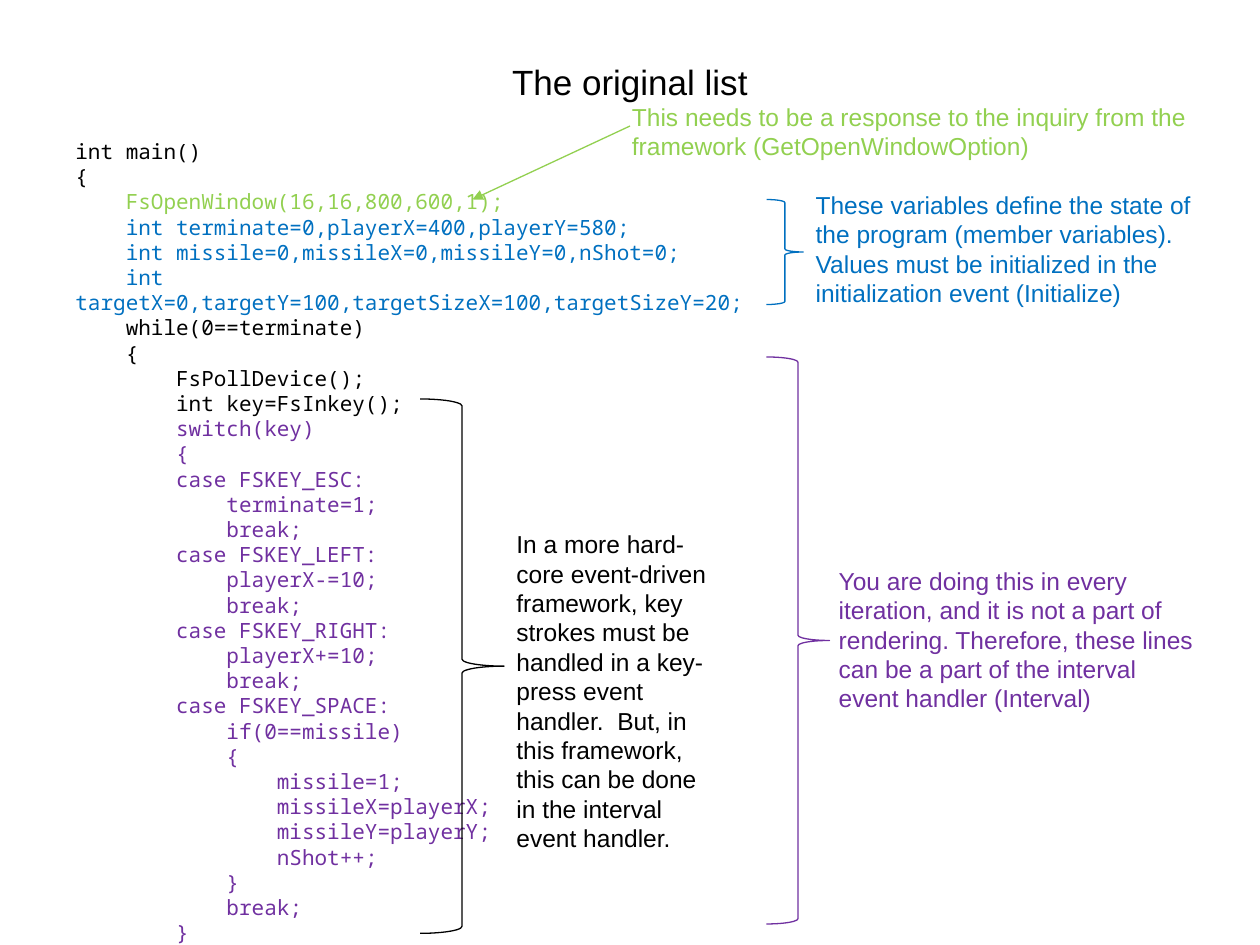
from lxml import etree
from pptx import Presentation
from pptx.dml.color import RGBColor
from pptx.enum.shapes import MSO_CONNECTOR, MSO_SHAPE
from pptx.enum.text import MSO_ANCHOR, PP_ALIGN
from pptx.oxml.ns import qn
from pptx.util import Inches, Pt

LINE = MSO_CONNECTOR.STRAIGHT
BRACE = MSO_SHAPE.RIGHT_BRACE
TOP, MIDDLE = MSO_ANCHOR.TOP, MSO_ANCHOR.MIDDLE
LEFT, CENTER = PP_ALIGN.LEFT, PP_ALIGN.CENTER

COLORS = {"black": "000000", "green": "92D050", "blue": "0070C0", "purple": "7030A0"}
COLS, ROWS = 120, 90

CODE = [
    ("black", """int main()
{"""),
    ("green", "    FsOpenWindow(16,16,800,600,1);"),
    ("blue", """    int terminate=0,playerX=400,playerY=580;
    int missile=0,missileX=0,missileY=0,nShot=0;
    int targetX=0,targetY=100,targetSizeX=100,targetSizeY=20;"""),
    ("black", """    while(0==terminate)
    {
        FsPollDevice();
        int key=FsInkey();"""),
    ("purple", """        switch(key)
        {
        case FSKEY_ESC:
            terminate=1;
            break;
        case FSKEY_LEFT:
            playerX-=10;
            break;
        case FSKEY_RIGHT:
            playerX+=10;
            break;
        case FSKEY_SPACE:
            if(0==missile)
            {
                missile=1;
                missileX=playerX;
                missileY=playerY;
                nShot++;
            }
            break;
        }"""),
]

NOTES = [
    ("green", (59, 9.1, 58, 6.8),
     "This needs to be a response to the inquiry from the framework (GetOpenWindowOption)"),
    ("blue", (76.5, 17.5, 41.5, 12.5),
     "These variables define the state of the program (member variables).  "
     "Values must be initialized in the initialization event (Initialize)"),
    ("black", (48, 49.8, 22, 32.3),
     "In a more hard-core event-driven framework, key strokes must be handled in a "
     "key-press event handler.  But, in this framework, this can be done in the "
     "interval event handler."),
    ("purple", (78.7, 53.3, 37, 15.4),
     "You are doing this in every iteration, and it is not a part of rendering. "
     "Therefore, these lines can be a part of the interval event handler (Interval)"),
]

BRACES = [
    ("blue", (73, 19, 3.5, 10)),
    ("black", (40, 38, 8, 50.9)),
    ("purple", (73, 34, 6, 54)),
]


class Page:
    font, mono = "Arial", "Noto Sans Mono"
    weight = Pt(0.75)

    def __init__(self, deck):
        self.slide = deck.slides.add_slide(deck.slide_layouts[6])
        self.col = deck.slide_width / COLS
        self.row = deck.slide_height / ROWS

    def place(self, *grid):
        units = (self.col, self.row) * 2
        return [round(n * unit) for n, unit in zip(grid, units)]

    def color(self, name):
        return RGBColor.from_string(COLORS[name])

    def text(self, box, parts, size=14, font=font, align=LEFT, anchor=TOP):
        frame = self.slide.shapes.add_textbox(*self.place(*box)).text_frame
        frame.word_wrap = True
        frame.vertical_anchor = anchor
        frame.text = "\n".join(words for _, words in parts)
        names = [name for name, words in parts for _ in words.split("\n")]
        for para, name in zip(frame.paragraphs, names):
            para.alignment = align
            for run in para.runs:
                run.font.name = font
                run.font.size = Pt(size)
                run.font.color.rgb = self.color(name)

    def stroke(self, shape, name):
        shape.line.color.rgb = self.color(name)
        shape.line.width = self.weight

    def brace(self, name, box):
        shape = self.slide.shapes.add_shape(BRACE, *self.place(*box))
        shape.shadow.inherit = False
        shape.fill.background()
        self.stroke(shape, name)

    def arrow(self, name, start, end):
        line = self.slide.shapes.add_connector(LINE, *self.place(*start, *end))
        self.stroke(line, name)
        props = line._element.spPr
        etree.SubElement(props.find(qn("a:ln")), qn("a:tailEnd"), type="triangle")
        etree.SubElement(props, qn("a:effectLst"))


def main():
    deck = Presentation()
    deck.slide_width, deck.slide_height = Inches(10), Inches(7.5)
    page = Page(deck)
    page.text((6, 3.6, 108, 8.4), [("black", "The original list")],
              size=20, align=CENTER, anchor=MIDDLE)
    page.text((6, 12.6, 70.4, 76.3), CODE, size=12, font=page.mono)
    page.arrow("green", (60, 12), (45, 19))
    for name, box in BRACES:
        page.brace(name, box)
    for name, box, words in NOTES:
        page.text(box, [(name, words)])
    deck.save("out.pptx")


if __name__ == "__main__":
    main()
